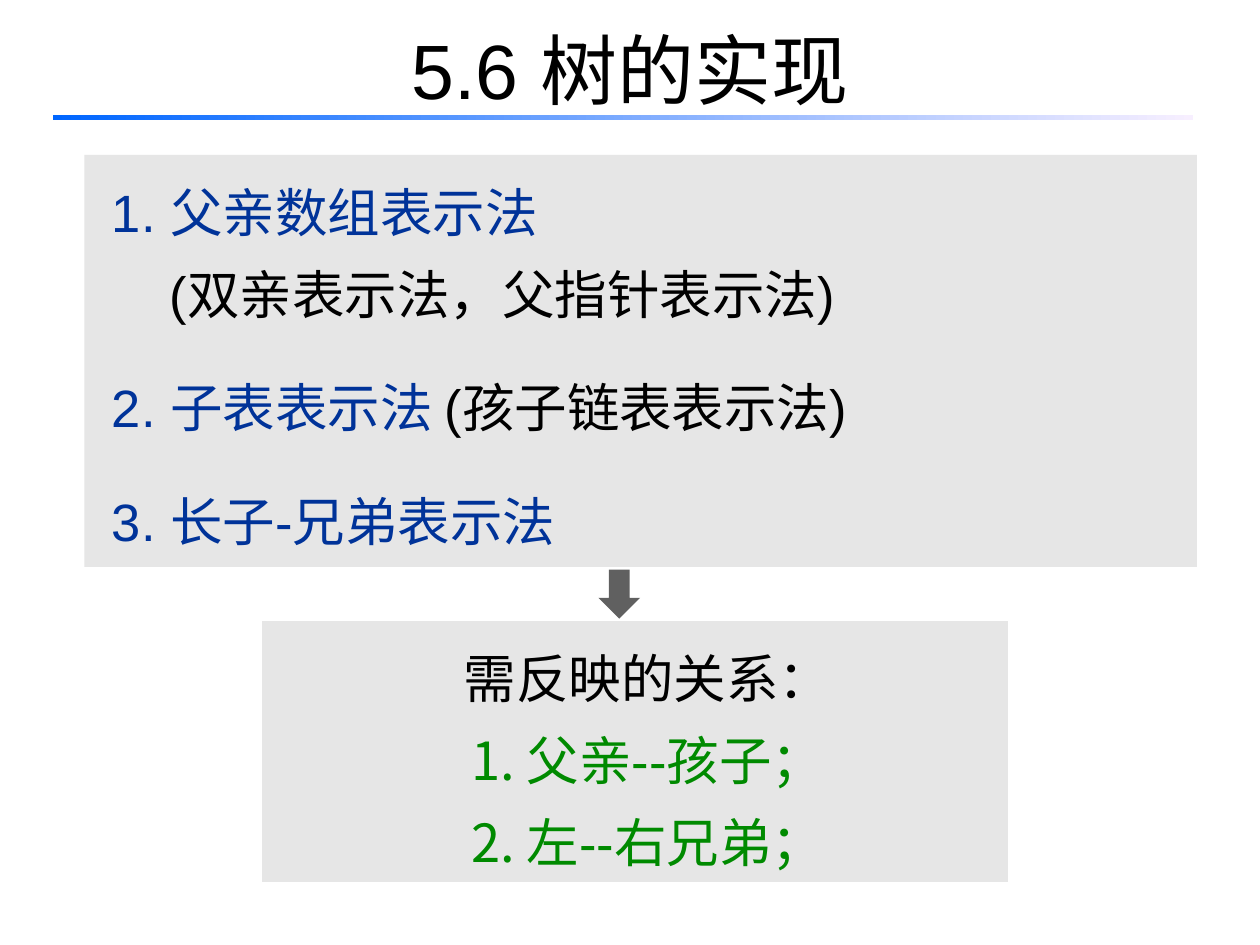
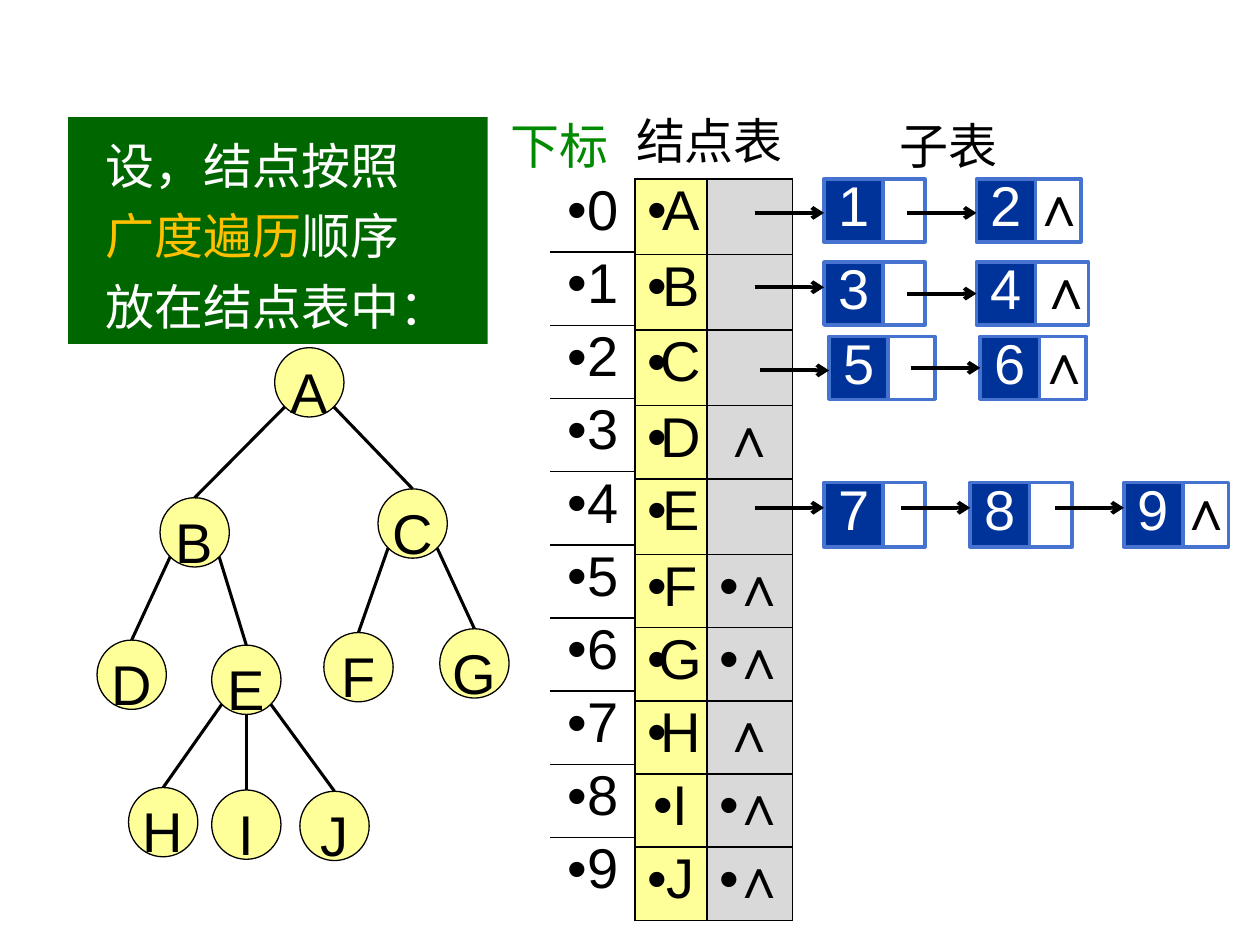
import math

from lxml import etree
from pptx import Presentation
from pptx.dml.color import RGBColor
from pptx.enum import shapes, text
from pptx.oxml import ns
from pptx.util import Inches, Pt

BLACK = RGBColor(0x00, 0x00, 0x00)
WHITE = RGBColor(0xFF, 0xFF, 0xFF)
BLUE = RGBColor(0x00, 0x33, 0x99)
BOX_LINE = RGBColor(0x45, 0x73, 0xCF)
BAR_START = RGBColor(0x00, 0x66, 0xFF)
BAR_END = RGBColor(0xF7, 0xEF, 0xFF)
PANEL = RGBColor(0xE6, 0xE6, 0xE6)
ARROW_GREY = RGBColor(0x60, 0x60, 0x60)
POINTER_GREY = RGBColor(0xD9, 0xD9, 0xD9)
YELLOW = RGBColor(0xFF, 0xFF, 0x99)
GOLD = RGBColor(0xFF, 0xC0, 0x00)
GREEN = RGBColor(0x00, 0x8A, 0x00)
DARK_GREEN = RGBColor(0x00, 0x66, 0x00)

CENTER = text.PP_ALIGN.CENTER
RECT = shapes.MSO_SHAPE.RECTANGLE
NULL = "∧"


def sub(parent, tag, **attrs):
    return etree.SubElement(parent, ns.qn("a:" + tag), attrs)


class Deck:
    latin, asian = "Arial", "Noto Sans CJK SC"

    def __init__(self):
        self.prs = Presentation()
        self.prs.slide_width, self.prs.slide_height = Inches(10), Inches(7.5)
        self.s = None

    def new_slide(self):
        self.s = self.prs.slides.add_slide(self.prs.slide_layouts[6])

    def para(self, tf, content, size=32, color=BLACK, align=None, spacing=None,
             before=None, indent=0, bullet=None, number=False, bold=False):
        """Add a paragraph; content is a string or (text, colour) pairs.

        before is points, or a share of the line such as "30%".
        """
        first = tf.paragraphs[0]
        p = first if not first.runs else tf.add_paragraph()
        p.alignment, p.line_spacing = align, spacing
        pPr = p._p.get_or_add_pPr()
        pPr.set("marL", str(Inches(indent)))
        pPr.set("indent", "0")
        if isinstance(before, str):
            share = int(before.rstrip("%")) * 1000
            sub(sub(pPr, "spcBef"), "spcPct", val=str(share))
        elif before:
            p.space_before = Pt(before)
        if bullet:
            sub(pPr, "buFont", typeface=self.latin)
            sub(pPr, "buChar", char=bullet)
        elif number:
            sub(pPr, "buAutoNum", type="arabicPeriod")
        f = p.font
        f.size, f.name, f.bold = Pt(size), self.latin, bold
        f.color.rgb = color
        sub(pPr.find(ns.qn("a:defRPr")), "ea", typeface=self.asian)
        pairs = [(content, None)] if isinstance(content, str) else content
        for words, run_color in pairs:
            r = p.add_run()
            r.text = words
            if run_color is not None:
                r.font.color.rgb = run_color

    def shape(self, x, y, w, h, fill=None, line=None, width=2, kind=RECT):
        sp = self.s.shapes.add_shape(kind, *map(Inches, (x, y, w, h)))
        sp.shadow.inherit = False
        if fill is None:
            sp.fill.background()
        else:
            sp.fill.solid()
            sp.fill.fore_color.rgb = fill
        if line is None:
            sp.line.fill.background()
        else:
            sp.line.color.rgb = line
            sp.line.width = Pt(width)
        return sp

    def panel(self, x, y, w, h, fill):
        tf = self.shape(x, y, w, h, fill).text_frame
        tf.word_wrap = True
        tf.vertical_anchor = text.MSO_ANCHOR.TOP
        return tf

    def label(self, sp, words, **style):
        sp.text_frame.word_wrap = False
        sp.text_frame.vertical_anchor = text.MSO_ANCHOR.MIDDLE
        self.para(sp.text_frame, words, align=CENTER, **style)

    def text_box(self, x, y, w, h, words, anchor=text.MSO_ANCHOR.TOP, **style):
        tf = self.s.shapes.add_textbox(*map(Inches, (x, y, w, h))).text_frame
        tf.word_wrap, tf.vertical_anchor = True, anchor
        self.para(tf, words, **style)

    def title(self, words):
        self.text_box(0.5, -0.08, 9, 1.25, words, text.MSO_ANCHOR.MIDDLE,
                      size=44, align=CENTER)
        bar = self.shape(0.42, 0.91, 9.05, 0.04, BAR_START)
        bar.fill.gradient()
        bar.fill.gradient_angle = 0
        for stop, color in zip(bar.fill.gradient_stops, (BAR_START, BAR_END)):
            stop.color.rgb = color

    def line(self, x1, y1, x2, y2, width, arrow=False):
        cx = self.s.shapes.add_connector(
            shapes.MSO_CONNECTOR.STRAIGHT, *map(Inches, (x1, y1, x2, y2)))
        cx.line.color.rgb = BLACK
        cx.line.width = Pt(width)
        if arrow:
            sub(cx.line._get_or_add_ln(), "tailEnd", type="arrow")
        sub(cx._element.spPr, "effectLst")
        return cx

    def table(self, x, y, col_widths, row_heights):
        t = self.s.shapes.add_table(
            len(row_heights), len(col_widths), Inches(x), Inches(y),
            Inches(sum(col_widths)), Inches(sum(row_heights))).table
        t.first_row = t.horz_banding = False
        for col, w in zip(t.columns, col_widths):
            col.width = Inches(w)
        for row, h in zip(t.rows, row_heights):
            row.height = Inches(h)
        return t

    def cell(self, c, words, fill, sides, **style):
        """Fill a cell and draw its borders; sides is a subset of "LRTB"."""
        tcPr = c._tc.get_or_add_tcPr()
        for side in sides:
            ln = sub(tcPr, "ln" + side, w=str(Pt(1)))
            sub(sub(ln, "solidFill"), "srgbClr", val=str(BLACK))
        c.fill.solid()
        c.fill.fore_color.rgb = fill
        if words:
            self.para(c.text_frame, words, align=CENTER, spacing=0.9, **style)


def methods_slide(d):
    d.new_slide()
    d.title("5.6 树的实现")
    tf = d.panel(0.67, 1.23, 8.83, 3.27, PANEL)
    for content, indent, before in (
            ([("1. 父亲数组表示法", BLUE)], 0.12, None),
            ([("(双亲表示法，父指针表示法)", BLACK)], 0.58, None),
            ([("2. 子表表示法 ", BLUE), ("(孩子链表表示法)", BLACK)], 0.12, 18),
            ([("3. 长子-兄弟表示法", BLUE)], 0.12, 18)):
        d.para(tf, content, size=30, align=text.PP_ALIGN.LEFT, spacing=1.3,
               before=before, indent=indent)
    tf = d.panel(2.08, 4.93, 5.92, 2.07, PANEL)
    for words, color, number in (("需反映的关系：", BLACK, False),
                                 (" 父亲--孩子；", GREEN, True),
                                 (" 左--右兄弟；", GREEN, True)):
        d.para(tf, words, size=30, color=color, align=CENTER, spacing=1.3,
               indent=0.2, number=number)
    d.shape(4.75, 4.52, 0.33, 0.39, ARROW_GREY, kind=shapes.MSO_SHAPE.DOWN_ARROW)


NODE_SIZE = 0.55
NODES = {"A": (2.18, 2.76), "B": (1.27, 3.95), "C": (3, 3.88), "D": (0.77, 5.08),
         "E": (1.68, 5.12), "F": (2.57, 5.02), "G": (3.49, 4.99),
         "H": (1.02, 6.25), "I": (1.68, 6.27), "J": (2.38, 6.28)}
CHILDREN = {"A": "BC", "B": "DE", "C": "FG", "E": "HIJ"}
BULLETED_NULLS = "FGIJ"

# Top, height and the nodes (number, left, pointer left, arrow height) of each list
CHILD_LISTS = [
    (1.42, 0.5, [(1, 6.54, 6.87, 1.69), (2, 7.75, 8.11, 1.69)]),
    (2.08, 0.5, [(3, 6.54, 6.87, 2.28), (4, 7.75, 8.17, 2.33)]),
    (2.67, 0.5, [(5, 6.58, 6.95, 2.94), (6, 7.78, 8.15, 2.92)]),
    (3.83, 0.51, [(7, 6.54, 6.87, 4.03), (8, 7.7, 8.04, 4.03), (9, 8.92, 9.28, 4.03)]),
]


def node_tables(d):
    top, dotted = 1.42, dict(before="30%", bullet="•")
    last = len(NODES) - 1
    index = d.table(4.37, top, [0.67], [0.55] * len(NODES))
    for i in range(len(NODES)):
        sides = ("T" if i > 0 else "") + ("B" if i < last else "")
        d.cell(index.cell(i, 0), str(i), WHITE, sides, **dotted)
    heights = [0.6 if name in CHILDREN else 0.55 for name in NODES]
    table = d.table(5.04, top, [0.57, 0.68], heights)
    for i, name in enumerate(NODES):
        d.cell(table.cell(i, 0), name, YELLOW, "LRTB", **dotted)
        d.cell(table.cell(i, 1), "" if name in CHILDREN else NULL, POINTER_GREY,
               "LRTB", bold=True, **(dotted if name in BULLETED_NULLS else {}))


def child_lists(d):
    for y, h, chain in CHILD_LISTS:
        for number, x, pointer_x, arrow_y in chain:
            pointer = d.shape(pointer_x, y, 0.47, h, line=BOX_LINE)
            if number == chain[-1][0]:
                d.label(pointer, " " + NULL, spacing=0.8, bold=True)
            key = d.shape(x, y, 0.47, h, BLUE, BOX_LINE)
            d.label(key, str(number), color=WHITE, spacing=0.8)
            d.line(x - 0.55, arrow_y, x, arrow_y, 2.25, arrow=True)


def tree(d):
    circles = {}
    for name, (x, y) in NODES.items():
        circles[name] = d.shape(x, y, NODE_SIZE, NODE_SIZE, YELLOW, BLACK, 0.75,
                                shapes.MSO_SHAPE.OVAL)
        d.label(circles[name], name, spacing=1.25, before="30%")
    radius = NODE_SIZE / 2
    for parent, children in CHILDREN.items():
        x, y = NODES[parent]
        for i, child in enumerate(children):
            # Edges fan out from 45° left to 45° right of the circle's foot
            angle = math.radians(-45 + 90 * i / (len(children) - 1))
            start_x = x + radius + radius * math.sin(angle)
            start_y = y + radius + radius * math.cos(angle)
            edge = d.line(start_x, start_y, NODES[child][0] + radius,
                          NODES[child][1], 1.75)
            edge.end_connect(circles[child], 0)


def child_list_slide(d):
    d.new_slide()
    node_tables(d)
    child_lists(d)
    tf = d.panel(0.54, 0.93, 3.33, 1.8, DARK_GREEN)
    for content in ("设，结点按照", [("广度遍历", GOLD), ("顺序", WHITE)],
                    "放在结点表中："):
        d.para(tf, content, size=28, color=WHITE, align=text.PP_ALIGN.LEFT,
               spacing=1.2, indent=0.2)
    d.text_box(3.95, 0.75, 1.08, 0.58, "下标", size=28, color=GREEN,
               spacing=1.25, before=24)
    d.text_box(7.04, 0.75, 1.58, 0.58, "子表", size=28, spacing=1.25, before=24)
    d.text_box(4.95, 0.83, 1.5, 0.58, "结点表", size=28)
    tree(d)


def main():
    d = Deck()
    methods_slide(d)
    child_list_slide(d)
    d.prs.save("out.pptx")


if __name__ == "__main__":
    main()
